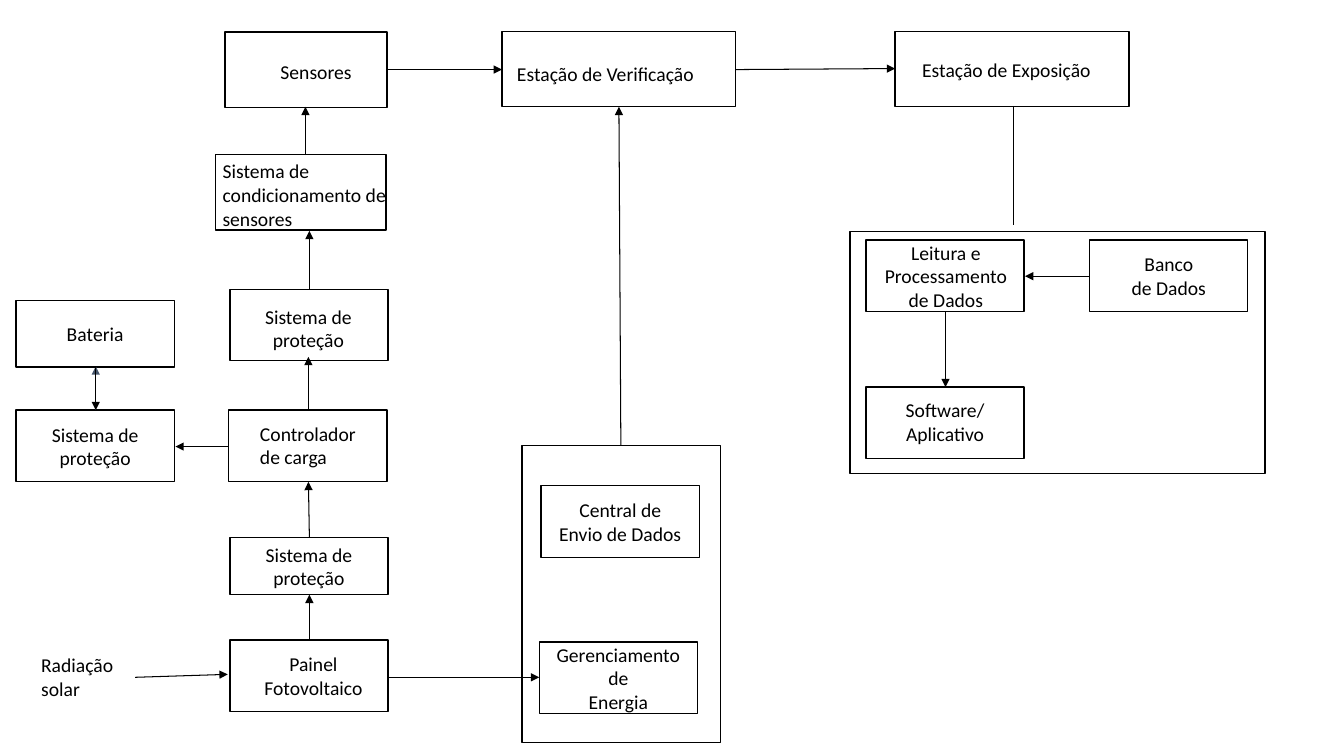
from pptx import Presentation
from pptx.dml.color import RGBColor
from pptx.enum.shapes import MSO_CONNECTOR, MSO_SHAPE
from pptx.enum.text import MSO_ANCHOR, PP_ALIGN
from pptx.oxml.ns import qn
from pptx.util import Pt
from lxml.etree import SubElement

BLACK = RGBColor(0x00, 0x00, 0x00)
SLATE = RGBColor(0x44, 0x54, 0x6A)
FONT = "Calibri"
BLOCK_W, BLOCK_H = 113, 51.1
STATION_W, STATION_H = 167, 54
PROTECTION = "Sistema de proteção"

# Blocks that carry their own text: left, top, height, text
TEXT_BLOCKS = [
    (11.5, 214.6, 47.5, "Bateria"),
    (11.5, 293, BLOCK_H, PROTECTION),
    (164.2, 383.8, 41, PROTECTION),
    (386.6, 347, BLOCK_H, "Central de\nEnvio de Dados"),
    (385.2, 458.6, BLOCK_H, "Gerenciamento de\nEnergia"),
]

# Outlines whose text is a separate label: left, top, width, height
OUTLINES = [
    (160.6, 23, 116, STATION_H),                # sensores
    (358.6, 22.3, STATION_W, STATION_H),        # verificação
    (639.4, 22.3, STATION_W, STATION_H),        # exposição
    (154.1, 110.2, 121.7, STATION_H),           # condicionamento
    (164.2, 206.6, BLOCK_W, BLOCK_H),           # proteção
    (163.4, 293, BLOCK_W, BLOCK_H),             # controlador
    (164.2, 457.2, BLOCK_W, BLOCK_H),           # painel
    (618.5, 171.4, BLOCK_W, BLOCK_H),           # leitura
    (778.3, 171.4, BLOCK_W, BLOCK_H),           # banco
    (618.5, 276.5, BLOCK_W, BLOCK_H),           # software
    (373, 318.2, 141.8, 212.4),                 # frame of the central
    (607, 165.6, 296.6, 172.8),                 # frame of the exposição
]

# Left, top, width, height, text
CENTRED_LABELS = [
    (175, 38.9, 101.5, 24.5, "Sensores"),
    (172.8, 213.8, 95, 41, PROTECTION),
    (175.7, 462.2, 96.5, 41, "Painel\nFotovoltaico"),
    (624.2, 167.8, 103, 58.3, "Leitura e\nProcessamento\nde Dados"),
    (783.4, 176.4, 103, 41, "Banco\nde Dados"),
    (639.4, 280.8, 71.3, 41, "Software/\nAplicativo"),
]
LEFT_LABELS = [
    (362.2, 40.3, 141.8, 24.5, "Estação de Verificação"),
    (651.6, 37.4, 136.1, 24.5, "Estação de Exposição"),
    (178.6, 297.4, 85, 41, "Controlador de carga"),
    (22.3, 463, 74.2, 41, "Radiação solar"),
]

# Start x, start y, end x, end y
ARROWS = [
    (275.8, 49.7, 358.6, 49.7),     # sensores to verificação
    (525.6, 49.7, 639.4, 49),       # verificação to exposição
    (443.5, 318.2, 442.1, 76.3),    # central to verificação
    (218.2, 110.9, 218.2, 76.3),    # condicionamento to sensores
    (221, 206.6, 221, 164.9),       # proteção to condicionamento
    (220.3, 293, 220.3, 254.9),     # controlador to proteção
    (221, 383.8, 220.3, 344.2),     # proteção to controlador
    (221, 457.2, 221, 424.8),       # painel to proteção
    (163.4, 319, 125.3, 319),       # controlador to proteção
    (96.5, 483.8, 162.7, 481.7),    # radiação to painel
    (276.5, 483.8, 385.2, 483.8),   # painel to gerenciamento
    (778.3, 197.3, 732.2, 197.3),   # banco to leitura
    (675.4, 222.5, 675.4, 276.5),   # leitura to software
]


def write_text(shape, text, size=14, color=BLACK, align=PP_ALIGN.CENTER,
               anchor=MSO_ANCHOR.MIDDLE, inset_y=3.6):
    """Fill a shape with one paragraph for each line of text."""
    tf = shape.text_frame
    tf.word_wrap = True
    tf.vertical_anchor = anchor
    tf.margin_left = tf.margin_right = Pt(7.2)
    tf.margin_top = tf.margin_bottom = Pt(inset_y)
    for i, line in enumerate(text.split("\n")):
        p = tf.add_paragraph() if i else tf.paragraphs[0]
        p.alignment = align
        r = p.add_run()
        r.text = line
        r.font.name = FONT
        r.font.size = Pt(size)
        r.font.color.rgb = color


def add_box(s, x, y, w, h, text=None):
    """Draw an unfilled rectangle, with text if any is given."""
    sp = s.shapes.add_shape(MSO_SHAPE.RECTANGLE, Pt(x), Pt(y), Pt(w), Pt(h))
    sp.shadow.inherit = False
    sp.fill.background()
    sp.line.color.rgb = BLACK
    sp.line.width = Pt(1)
    if text:
        write_text(sp, text)


def add_label(s, x, y, w, h, text, **fmt):
    """Place free text."""
    write_text(s.shapes.add_textbox(Pt(x), Pt(y), Pt(w), Pt(h)), text, **fmt)


def add_line(s, x1, y1, x2, y2, color=BLACK, arrow=True):
    """Draw a straight connector, with a triangle at its end if arrow is set."""
    cx = s.shapes.add_connector(MSO_CONNECTOR.STRAIGHT,
                                Pt(x1), Pt(y1), Pt(x2), Pt(y2))
    cx.line.color.rgb = color
    cx.line.width = Pt(0.75)
    if arrow:
        SubElement(cx.line._get_or_add_ln(), qn("a:tailEnd"), type="triangle")
    SubElement(cx._element.spPr, qn("a:effectLst"))


def main():
    """Build the block diagram of the monitoring system."""
    prs = Presentation()
    prs.slide_width, prs.slide_height = Pt(960), Pt(540)
    s = prs.slides.add_slide(prs.slide_layouts[6])

    for outline in OUTLINES:
        add_box(s, *outline)
    for x, y, h, text in TEXT_BLOCKS:
        add_box(s, x, y, BLOCK_W, h, text)

    for label in CENTRED_LABELS:
        add_label(s, *label)
    for label in LEFT_LABELS:
        add_label(s, *label, align=PP_ALIGN.LEFT)
    add_label(s, 151.9, 106.6, 139, 58.3, "Sistema de condicionamento de sensores",
              align=PP_ALIGN.LEFT, anchor=MSO_ANCHOR.TOP, inset_y=7.2)

    for arrow in ARROWS:
        add_line(s, *arrow)
    add_line(s, 68.4, 293, 68.4, 261.7, color=SLATE)
    add_line(s, 68.4, 261.7, 68.4, 293)
    add_line(s, 723.6, 75.6, 723.6, 160.6, arrow=False)

    prs.save("out.pptx")


main()
